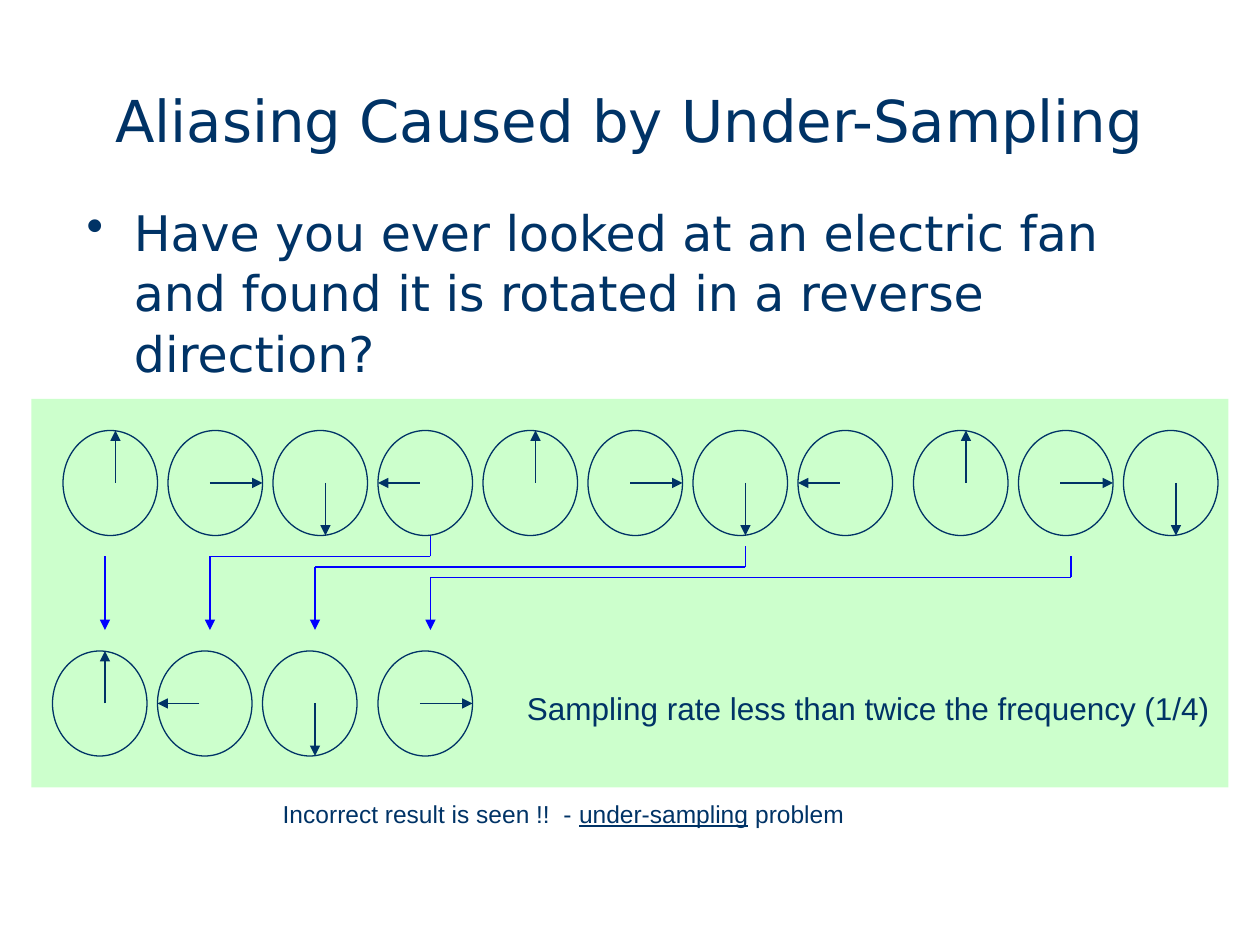
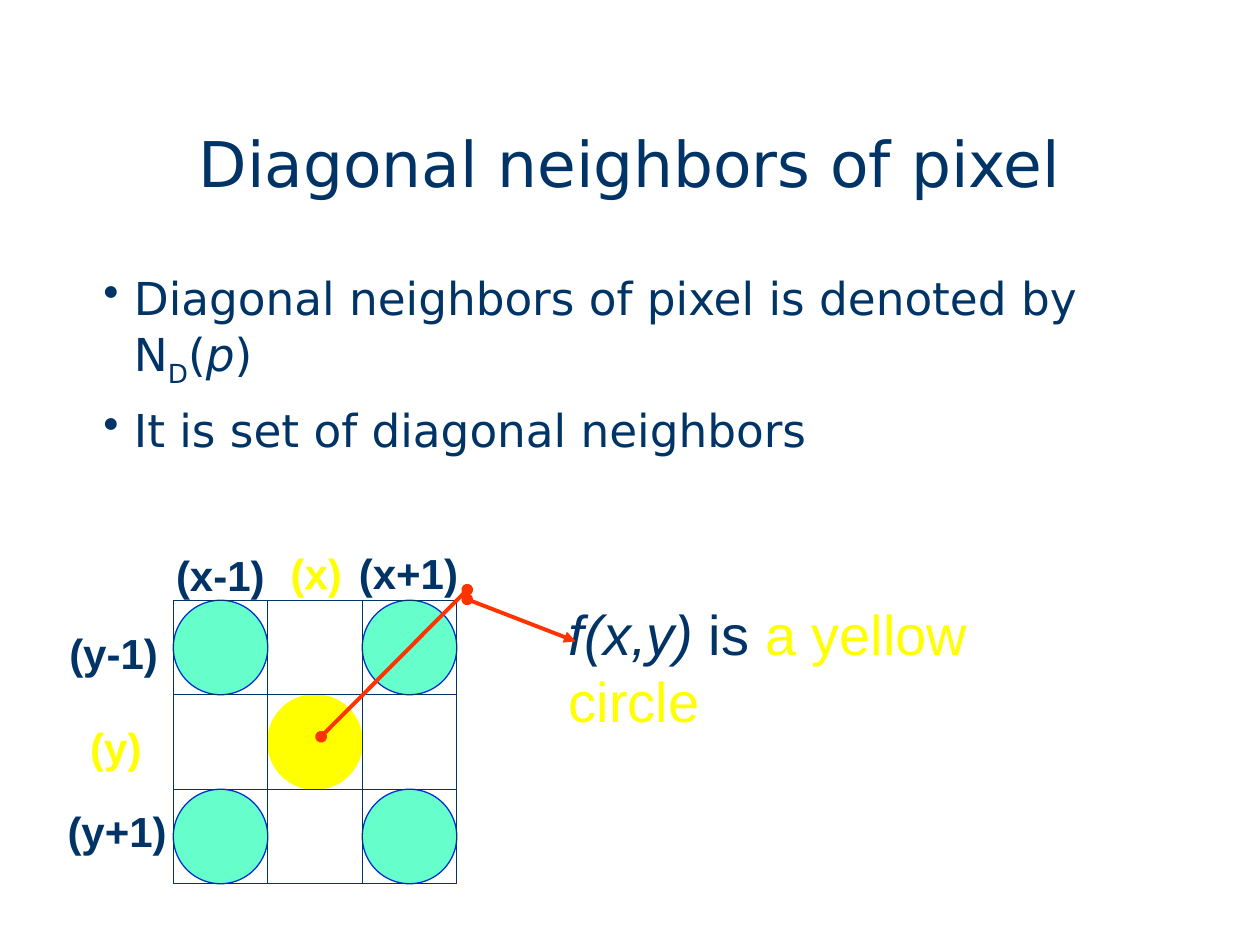
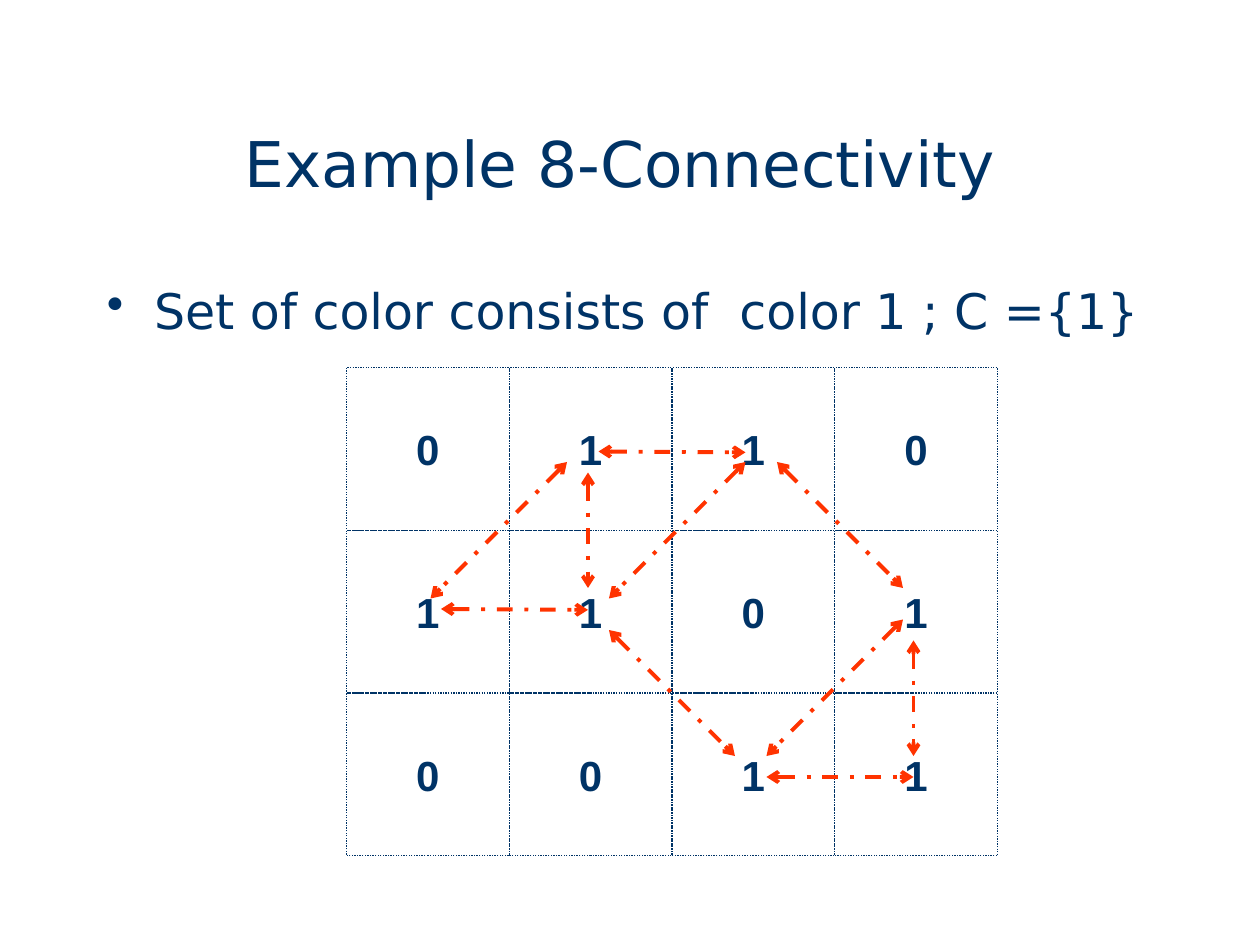
from dataclasses import dataclass

from lxml import etree
from pptx import Presentation
from pptx import util as u
from pptx.dml.color import RGBColor
from pptx.enum import dml, shapes, text
from pptx.oxml.ns import qn


@dataclass(frozen=True)
class Theme:
    ink: str = "003366"
    panel: str = "CCFFCC"
    flow: str = "0000FF"
    neighbor: str = "66FFCC"
    neighbor_edge: str = "0033CC"
    pixel: str = "FFFF00"
    path_red: str = "FF3300"
    heading_font: str = "DejaVu Sans"
    label_font: str = "Arial"
    title_size: float = 36
    long_title_size: float = 33
    body_size: float = 28
    small_body_size: float = 25.9
    formula_size: float = 32
    label_size: float = 24
    remark_size: float = 18
    caption_size: float = 14
    thin: float = 0.75
    thick: float = 2.25


THEME = Theme()
SLIDE_SIZE = (720, 540)
TITLE_BOX = (54, 48, 612, 90)

ALIASING = {
    "title": "Aliasing Caused by Under-Sampling",
    "title_box": (54, 26, 612, 84),
    "points": [[("Have you ever looked at an electric fan and found it is "
                 "rotated in a reverse direction?", {})]],
    "points_box": (42.5, 111, 623.5, 385),
    "panel": (18, 228, 684, 222),
    "fan": (54, 60),
    "fan_rows": [
        (246, [(36, "up"), (96, "right"), (156, "down"), (216, "left"),
               (276, "up"), (336, "right"), (396, "down"), (456, "left"),
               (522, "up"), (582, "right"), (642, "down")]),
        (372, [(30, "up"), (90, "left"), (150, "down"), (216, "right")]),
    ],
    "first_drop": (60, 318),
    "samples": [(246, 120, 318), (426, 180, 324), (612, 246, 330)],
    "drop_end": 360,
    "remark": ("Sampling rate less than twice the frequency (1/4)",
               (294, 390, 404.5, 29)),
    "caption": ([("Incorrect result is seen !!  - ", {}),
                 ("under-sampling", {"underline": True}),
                 (" problem", {})], (154.5, 453, 335, 24.5)),
}

DIAGONAL = {
    "title": "Diagonal neighbors of pixel",
    "points": [
        [("Diagonal neighbors of pixel is denoted by N", {}),
         ("D", {"baseline": -25000}), ("(", {}),
         ("p", {"italic": True}), (")", {})],
        [("It is set of diagonal neighbors", {})],
    ],
    "points_box": (52, 150, 612, 90),
    "grid_origin": (99, 343),
    "cell": 54,
    "pattern": ["n.n", ".p.", "n.n"],
    "labels": [
        ("(x-1)", (93.5, 310.5, 65, 36), THEME.ink),
        ("(y-1)", (32.5, 355, 65, 36), THEME.ink),
        ("(y+1)", (31.5, 457, 71, 36), THEME.ink),
        ("(x+1)", (198, 309.5, 71, 36), THEME.ink),
        ("(x)", (159, 309.5, 44, 36), THEME.pixel),
        ("(y)", (44.5, 409, 44, 36), THEME.pixel),
    ],
    "formula": ([("f(x,y)", {"italic": True}), (" is ", {}),
                 ("a yellow circle", {"color": THEME.pixel})],
                (318, 339, 325.5, 46)),
    "pointers": [((267, 342.5), (329, 366.5), "triangle"),
                 ((267, 337), (183.5, 421), "oval")],
}

CONNECTIVITY = {
    "title": "Example 8-Connectivity ",
    "points": [[("Set of color consists of  color 1 ; C ={1}", {})]],
    "points_box": (54, 156, 612, 324),
    "grid_origin": (198, 210),
    "cell": 93,
    "values": ["0110", "1101", "0011"],
    "links": [
        ((342, 258), (426, 258.5)), ((252, 348), (336, 348.5)),
        ((336, 270), (336, 336)), ((522, 366), (522, 432)),
        ((438, 444), (522, 444)), ((348, 360), (420, 432)),
        ((444, 264), (516, 336)), ((426, 264), (348, 342)),
        ((324, 264), (246, 342)), ((516, 354), (438, 432)),
    ],
}


def points(values):
    return [u.Pt(value) for value in values]


def apply_format(target, values):
    for name, value in values.items():
        setattr(target, name, value)


def add_runs(paragraph, runs, size, font, color=THEME.ink, bold=False):
    for words, changes in runs:
        run = paragraph.add_run()
        run.text = words
        look = {"size": u.Pt(size), "name": font, "bold": bold, **changes}
        baseline = look.pop("baseline", None)
        run.font.color.rgb = RGBColor.from_string(look.pop("color", color))
        apply_format(run.font, look)
        if baseline:
            run.font._element.set("baseline", str(baseline))


def add_text(slide, runs, box, size, font=THEME.label_font, color=THEME.ink,
             bold=False, frame=None, align=text.PP_ALIGN.LEFT):
    holder = slide.shapes.add_textbox(*points(box)).text_frame
    apply_format(holder, frame or {
        "word_wrap": False, "auto_size": text.MSO_AUTO_SIZE.SHAPE_TO_FIT_TEXT})
    holder.paragraphs[0].alignment = align
    add_runs(holder.paragraphs[0], runs, size, font, color, bold)


def add_title(slide, words, box=TITLE_BOX, size=THEME.title_size):
    add_text(slide, [(words, {})], box, size, THEME.heading_font,
             frame={"word_wrap": True, "vertical_anchor": text.MSO_ANCHOR.MIDDLE},
             align=text.PP_ALIGN.CENTER)


def add_points(slide, items, box, size=THEME.body_size, indent=27):
    holder = slide.shapes.add_textbox(*points(box)).text_frame
    holder.word_wrap = True
    for index, runs in enumerate(items):
        paragraph = holder.add_paragraph() if index else holder.paragraphs[0]
        properties = paragraph._p.get_or_add_pPr()
        properties.set("marL", str(u.Pt(indent)))
        properties.set("indent", str(-u.Pt(indent)))
        bullet_color = etree.SubElement(properties, qn("a:buClr"))
        etree.SubElement(bullet_color, qn("a:srgbClr"), val=THEME.ink)
        etree.SubElement(properties, qn("a:buChar"), char="•")
        paragraph.line_spacing = 1.03
        if index:
            paragraph.space_before = u.Pt(7)
        add_runs(paragraph, runs, size, THEME.heading_font)


def add_figure(slide, kind, box, fill=None, edge=THEME.ink, dash=None):
    figure = slide.shapes.add_shape(kind, *points(box))
    figure.shadow.inherit = False
    if fill:
        figure.fill.solid()
        figure.fill.fore_color.rgb = RGBColor.from_string(fill)
    else:
        figure.fill.background()
    if edge:
        figure.line.color.rgb = RGBColor.from_string(edge)
        apply_format(figure.line, {"width": u.Pt(THEME.thin), "dash_style": dash})
    else:
        figure.line.fill.background()
    return figure


def add_line(slide, start, end, color=THEME.ink, width=THEME.thin,
             head=None, tail=None, dash=None):
    link = slide.shapes.add_connector(
        shapes.MSO_CONNECTOR.STRAIGHT, *points(start + end))
    link.line.color.rgb = RGBColor.from_string(color)
    apply_format(link.line, {"width": u.Pt(width), "dash_style": dash})
    outline = link.line._get_or_add_ln()
    for tag, tip in (("a:headEnd", head), ("a:tailEnd", tail)):
        if tip:
            etree.SubElement(outline, qn(tag), type=tip)
    etree.SubElement(link._element.spPr, qn("a:effectLst"))


def add_fan(slide, left, top, direction):
    width, height = ALIASING["fan"]
    middle = top + height / 2
    blade_x, shaft_x = left + 30, left + 24
    start, end = {
        "up": ((blade_x, middle), (blade_x, top)),
        "down": ((blade_x, middle), (blade_x, top + height)),
        "left": ((shaft_x, middle), (left, middle)),
        "right": ((shaft_x, middle), (left + width, middle)),
    }[direction]
    add_figure(slide, shapes.MSO_SHAPE.OVAL, (left, top, width, height))
    add_line(slide, start, end, tail="triangle")


def build_aliasing(slide):
    part = ALIASING
    add_figure(slide, shapes.MSO_SHAPE.RECTANGLE, part["panel"], THEME.panel, None)
    add_title(slide, part["title"], part["title_box"], THEME.long_title_size)
    add_points(slide, part["points"], part["points_box"])
    for top, fans in part["fan_rows"]:
        for left, direction in fans:
            add_fan(slide, left, top, direction)
    drops = [part["first_drop"]]
    for source, target, level in part["samples"]:
        add_line(slide, (source, level), (target, level), THEME.flow)
        add_line(slide, (source, level), (source, level - 12), THEME.flow)
        drops.append((target, level))
    for x, level in drops:
        add_line(slide, (x, level), (x, part["drop_end"]), THEME.flow, tail="triangle")
    remark, remark_box = part["remark"]
    add_text(slide, [(remark, {})], remark_box, THEME.remark_size)
    add_text(slide, *part["caption"], THEME.caption_size)


def grid_cells(part, rows):
    left, top = part["grid_origin"]
    side = part["cell"]
    for row, marks in enumerate(rows):
        for column, mark in enumerate(marks):
            yield mark, (left + column * side, top + row * side, side, side)


def build_diagonal(slide):
    part = DIAGONAL
    add_title(slide, part["title"])
    add_points(slide, part["points"], part["points_box"], THEME.small_body_size, 17.5)
    looks = {
        "n": (shapes.MSO_SHAPE.OVAL, THEME.neighbor, THEME.neighbor_edge),
        "p": (shapes.MSO_SHAPE.OVAL, THEME.pixel, THEME.pixel),
        ".": (shapes.MSO_SHAPE.RECTANGLE, None, THEME.ink),
    }
    cells = list(grid_cells(part, part["pattern"]))
    for mark, box in sorted(cells, key=lambda cell: "pn.".index(cell[0])):
        kind, fill, edge = looks[mark]
        add_figure(slide, kind, box, fill, edge)
    side = part["cell"] * len(part["pattern"])
    add_figure(slide, shapes.MSO_SHAPE.RECTANGLE, part["grid_origin"] + (side, side))
    add_text(slide, *part["formula"], THEME.formula_size)
    for start, end, tip in part["pointers"]:
        add_line(slide, start, end, THEME.path_red, THEME.thick, "oval", tip)
    for label, box, color in part["labels"]:
        add_text(slide, [(label, {})], box, THEME.label_size, color=color, bold=True)


def build_connectivity(slide):
    part = CONNECTIVITY
    add_title(slide, part["title"])
    add_points(slide, part["points"], part["points_box"])
    for value, box in grid_cells(part, part["values"]):
        cell = add_figure(slide, shapes.MSO_SHAPE.RECTANGLE, box,
                          dash=dml.MSO_LINE.ROUND_DOT)
        apply_format(cell.text_frame, {
            "word_wrap": False, "vertical_anchor": text.MSO_ANCHOR.MIDDLE})
        paragraph = cell.text_frame.paragraphs[0]
        paragraph.alignment = text.PP_ALIGN.CENTER
        add_runs(paragraph, [(value, {})], THEME.label_size, THEME.label_font, bold=True)
    for start, end in part["links"]:
        add_line(slide, start, end, THEME.path_red, THEME.thick,
                 "arrow", "arrow", dml.MSO_LINE.DASH_DOT)


def main():
    deck = Presentation()
    deck.slide_width, deck.slide_height = points(SLIDE_SIZE)
    for build in (build_aliasing, build_diagonal, build_connectivity):
        build(deck.slides.add_slide(deck.slide_layouts[6]))
    deck.save("out.pptx")


if __name__ == "__main__":
    main()
